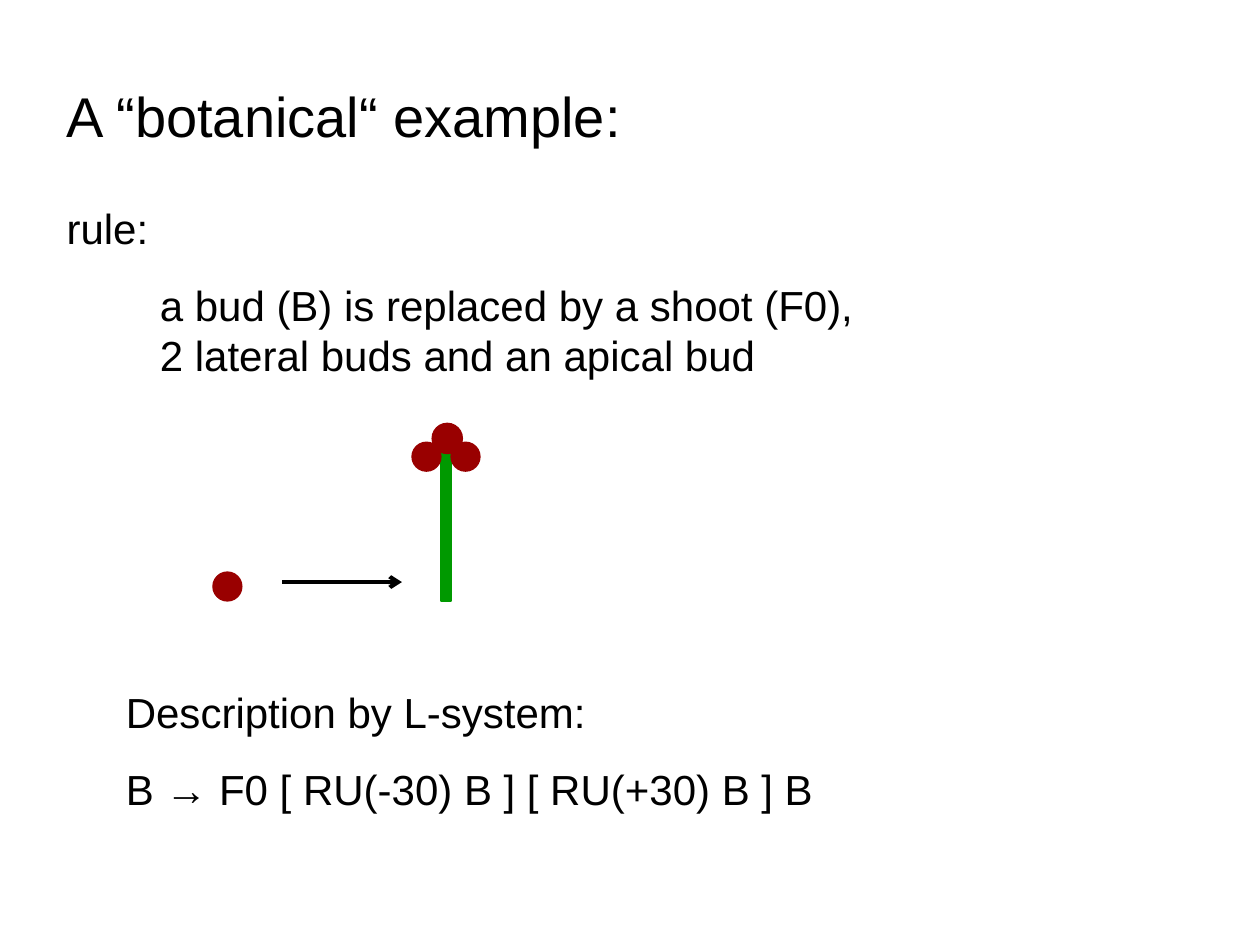
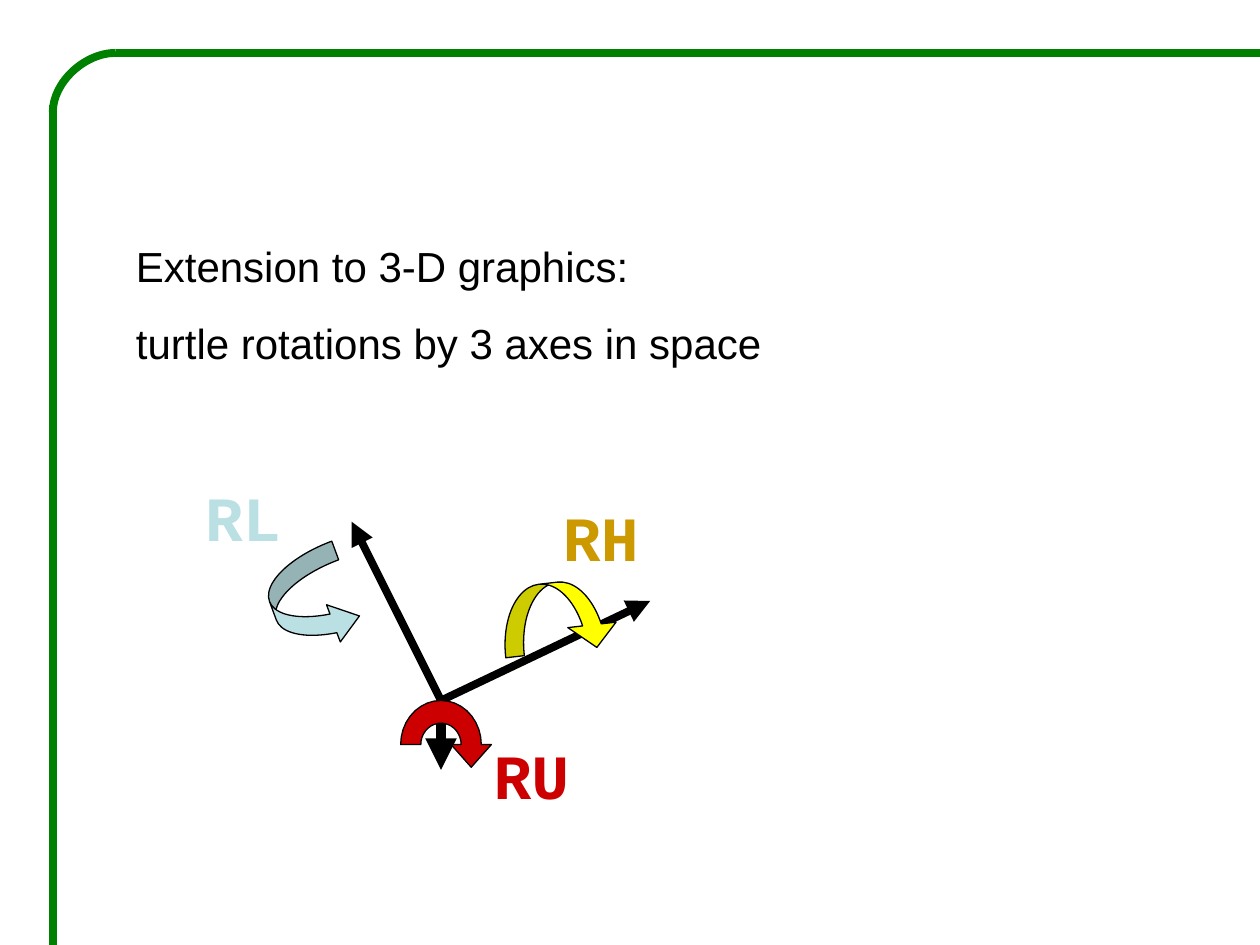
from math import cos, sin, radians

from lxml.etree import SubElement
from pptx import Presentation
from pptx.dml.color import RGBColor
from pptx.enum.shapes import MSO_CONNECTOR as CONN, MSO_SHAPE as SHAPE
from pptx.enum.text import MSO_ANCHOR as ANCHOR, MSO_AUTO_SIZE as AUTO, PP_ALIGN as ALIGN
from pptx.oxml.ns import qn
from pptx.util import Emu, Pt

PX = 9144
TITLE_ONLY, BLANK = 5, 6
COLORS = {
    "text": "000000",
    "frame": "008000",
    "bud": "990000",
    "shoot": "009900",
    "RH": "CC9900",
    "RL": "BBE0E3",
    "RU": "CC0000",
    "yellow": "FFFF00",
}


def px(*lengths):
    return [Emu(round(n * PX)) for n in lengths]


def rgb(name):
    return RGBColor.from_string(COLORS[name])


class Deck:
    font = "Arial"
    label_font = "Courier New"
    title_size, body_size, label_size = 32, 24, 36
    leading = 1.2
    gap = 15

    def __init__(self):
        self.prs = Presentation()
        self.prs.slide_width, self.prs.slide_height = px(1000, 750)
        self.slide = None

    def add_slide(self, layout):
        self.slide = self.prs.slides.add_slide(self.prs.slide_layouts[layout])

    def set_text(self, sp, lines, size, font=None, color="text", bold=False):
        tf = sp.text_frame
        tf.word_wrap = True
        tf.auto_size = AUTO.NONE
        tf.vertical_anchor = ANCHOR.TOP
        tf.margin_left, tf.margin_top, tf.margin_right, tf.margin_bottom = px(10, 5, 10, 5)
        for i, (text, before, indent) in enumerate(lines):
            p = tf.add_paragraph() if i else tf.paragraphs[0]
            p.alignment = ALIGN.LEFT
            p.space_before = Pt(before)
            p.line_spacing = Pt(size * self.leading)
            if indent:
                p._p.get_or_add_pPr().set("marL", str(indent * PX))
            r = p.add_run()
            r.text = text
            r.font.name = font or self.font
            r.font.size = Pt(size)
            r.font.bold = bold
            r.font.color.rgb = rgb(color)

    def title(self, text, box):
        sp = self.slide.shapes.title
        sp.left, sp.top, sp.width, sp.height = px(*box)
        self.set_text(sp, [(text, 0, 0)], self.title_size)

    def body(self, lines, box):
        sp = self.slide.shapes.add_textbox(*px(*box))
        self.set_text(sp, lines, self.body_size)

    def label(self, text, x, y):
        sp = self.slide.shapes.add_textbox(*px(x, y, 87, 70))
        self.set_text(sp, [(text, 0, 0)], self.label_size, self.label_font, text, True)

    def paint(self, sp, fill, line):
        sp.shadow.inherit = False
        sp.fill.solid()
        sp.fill.fore_color.rgb = rgb(fill)
        sp.line.color.rgb = rgb(line)
        sp.line.width = Pt(0.75)

    def shape(self, kind, box, fill, line="text", rotation=0, adjust=()):
        sp = self.slide.shapes.add_shape(kind, *px(*box))
        sp.rotation = rotation
        for i, value in enumerate(adjust):
            sp.adjustments[i] = value
        self.paint(sp, fill, line)

    def outline(self, points, fill, line="text"):
        points = [px(*point) for point in points]
        builder = self.slide.shapes.build_freeform(*points[0])
        builder.add_line_segments(points[1:], close=True)
        self.paint(builder.convert_to_shape(), fill, line)

    def line(self, start, end, width, color="text", head=None, curved=False):
        kind = CONN.CURVE if curved else CONN.STRAIGHT
        sp = self.slide.shapes.add_connector(kind, *px(*start, *end))
        sp.line.color.rgb = rgb(color)
        sp.line.width = Pt(width)
        pr = sp._element.spPr
        if curved:
            pr.find(qn("a:prstGeom")).set("prst", "curvedConnector2")
        if head:
            SubElement(sp.line._get_or_add_ln(), qn("a:tailEnd"), type=head)
        SubElement(pr, qn("a:effectLst"))


def arc(center, rx, ry, start, end, step):
    cx, cy = center
    return [(cx + rx * cos(radians(a)), cy + ry * sin(radians(a)))
            for a in range(start, end + step, step)]


def botanical_slide(deck):
    deck.add_slide(TITLE_ONLY)
    deck.title("A “botanical“ example:", (43, 60, 929, 63))
    deck.body([
        ("rule:", 0, 0),
        ("a bud (B) is replaced by a shoot (F0),", deck.gap, 74),
        ("2 lateral buds and an apical bud", 0, 74),
    ], (43, 156, 929, 150))
    deck.shape(SHAPE.OVAL, (169, 454, 23, 23), "bud", "bud")
    deck.shape(SHAPE.RECTANGLE, (350, 359, 8, 118), "shoot", "shoot")
    for x, y, size in ((343, 336, 24), (327, 351, 23), (358, 351, 23)):
        deck.shape(SHAPE.OVAL, (x, y, size, size), "bud", "bud")
    deck.line((224, 462), (319, 462), 2.25, head="arrow")
    deck.body([
        ("Description by L-system:", 0, 0),
        ("B → F0 [ RU(-30) B ] [ RU(+30) B ] B", deck.gap, 0),
    ], (90, 540, 669, 111))


def rotation_slide(deck):
    deck.add_slide(BLANK)
    deck.line((1000, 42), (92, 42), 4.5, "frame")
    deck.line((42, 83), (42, 750), 4.5, "frame")
    deck.line((92, 42), (42, 89), 4.5, "frame", curved=True)

    origin = (350, 556)
    for tip, width in (((516, 477), 4.5), ((279, 414), 4.5), ((350, 611), 6)):
        deck.line(origin, tip, width, head="triangle")

    deck.shape(SHAPE.CURVED_DOWN_ARROW, (398, 462, 92, 55), "yellow",
               rotation=353.5, adjust=(0.27, 0.7, 0.33))
    deck.shape(SHAPE.CURVED_RIGHT_ARROW, (216, 438, 63, 79), "RL",
               rotation=339.7, adjust=(0.25, 0.5, 0.34))
    hub = (350, 591)
    inner = arc(hub, 16, 17, 180, 360, 10)
    outer = arc(hub, 32, 35, 180, 360, 10)
    deck.outline(inner[::-1] + outer + [(390, 591), (374, 609), (358, 591)], "RU")

    for name, x, y in (("RH", 437, 391), ("RL", 153, 375), ("RU", 382, 580)):
        deck.label(name, x, y)
    deck.body([
        ("Extension to 3-D graphics:", 0, 0),
        ("turtle rotations by 3 axes in space", deck.gap, 0),
    ], (98, 186, 858, 111))


def main():
    deck = Deck()
    botanical_slide(deck)
    rotation_slide(deck)
    deck.prs.save("out.pptx")


if __name__ == "__main__":
    main()
